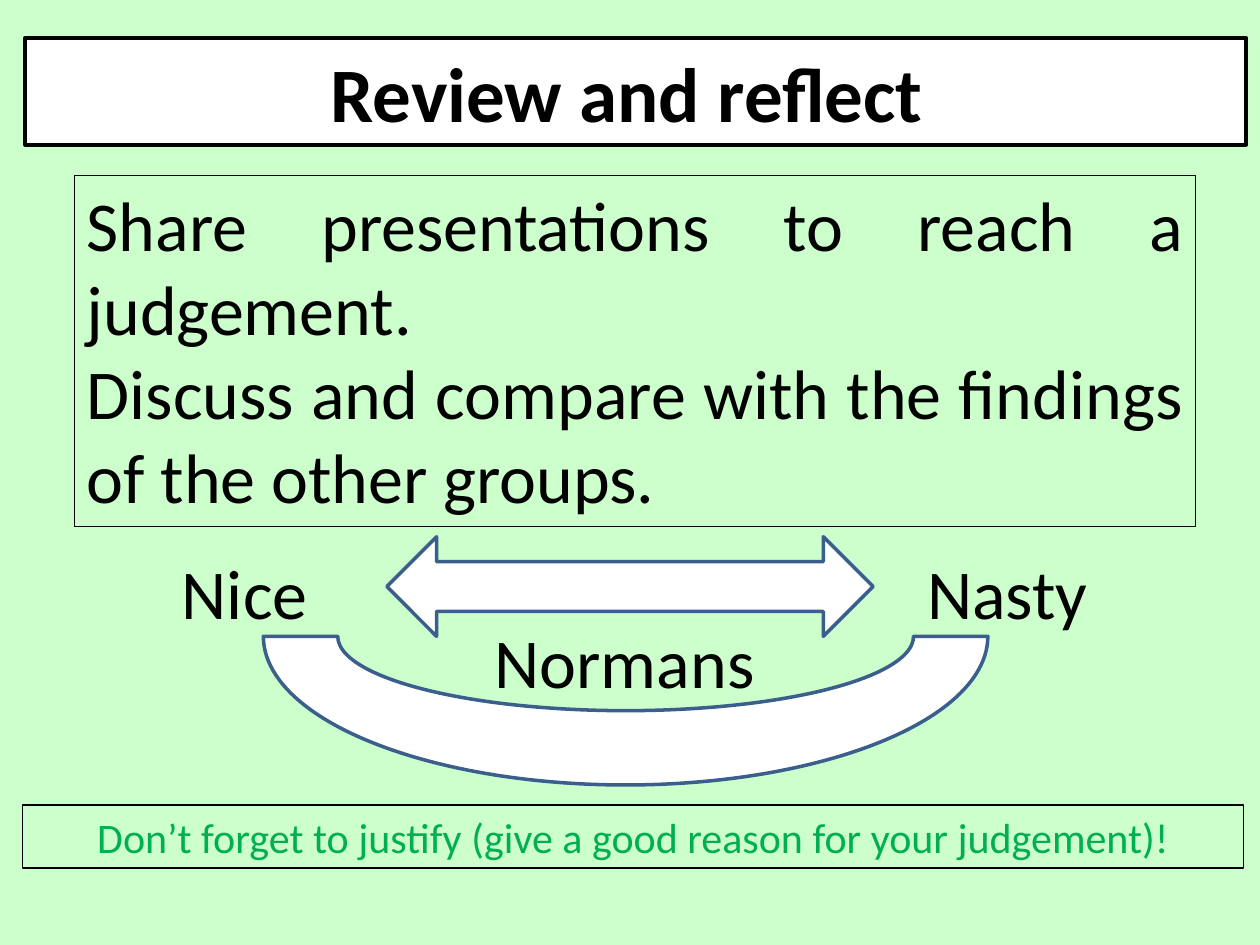
import pptx
import pptx.util
import pptx.dml.color
import pptx.enum.shapes
import pptx.enum.text

Inches, Pt = pptx.util.Inches, pptx.util.Pt
RGBColor = pptx.dml.color.RGBColor
SHAPE = pptx.enum.shapes.MSO_SHAPE
ALIGN = pptx.enum.text.PP_ALIGN
ANCHOR = pptx.enum.text.MSO_ANCHOR

MINT = RGBColor(0xCC, 0xFF, 0xCC)
WHITE = RGBColor(0xFF, 0xFF, 0xFF)
BLACK = RGBColor(0x00, 0x00, 0x00)
BLUE = RGBColor(0x3A, 0x5F, 0x8C)
GREEN = RGBColor(0x00, 0xB0, 0x50)


def add_text(sp, *lines, size=40, color=BLACK, bold=False,
             align=ALIGN.CENTER, anchor=ANCHOR.TOP):
    """Write one paragraph per line into a shape."""
    tf = sp.text_frame
    tf.word_wrap = True
    tf.vertical_anchor = anchor
    for i, line in enumerate(lines):
        p = tf.add_paragraph() if i else tf.paragraphs[0]
        p.alignment = align
        r = p.add_run()
        r.text = line
        r.font.name = "Calibri"
        r.font.size = Pt(size)
        r.font.bold = bold
        r.font.color.rgb = color


def add_outlined(s, kind, box, fill=None, line=BLACK, width=0.75):
    sp = s.shapes.add_shape(kind, *map(Inches, box))
    sp.shadow.inherit = False
    if fill is None:
        sp.fill.background()
    else:
        sp.fill.solid()
        sp.fill.fore_color.rgb = fill
    sp.line.color.rgb = line
    sp.line.width = Pt(width)
    return sp


def add_title(s, box):
    sp = add_outlined(s, SHAPE.RECTANGLE, box, fill=WHITE, width=2)
    add_text(sp, "Review and reflect ", size=44, bold=True, anchor=ANCHOR.MIDDLE)


def add_task(s, box):
    add_text(add_outlined(s, SHAPE.RECTANGLE, box),
             "Share presentations to reach a judgement.",
             "Discuss and compare with the findings of the other groups. ",
             align=ALIGN.JUSTIFY)


def add_scale(s, box):
    """Nice-to-nasty scale: arc below, arrow between the two end labels."""
    x, y, w, h = box
    # Arc and arrow
    arc = add_outlined(s, SHAPE.BLOCK_ARC, (x + 0.95, y, 5.75, h), WHITE, BLUE, 2)
    arc.rotation = 180
    add_outlined(s, SHAPE.LEFT_RIGHT_ARROW, (x + 1.93, y + 0.39, 3.86, 0.79),
                 WHITE, BLUE, 2)
    # Labels
    end_w = 1.73
    for label, left, top, width in (
            ("Nice ", x, y + 0.44, end_w),
            ("Nasty", x + w - end_w, y + 0.44, end_w),
            ("Normans ", x + 2.66, y + 0.99, 2.44)):
        tb = s.shapes.add_textbox(*map(Inches, (left, top, width, 0.77)))
        add_text(tb, label)


def add_reminder(s, box):
    add_text(add_outlined(s, SHAPE.RECTANGLE, box),
             "Don’t forget to justify (give a good reason for your judgement)!",
             size=24, color=GREEN)


def main():
    prs = pptx.Presentation()
    prs.slide_width, prs.slide_height = Inches(10), Inches(7.5)
    s = prs.slides.add_slide(prs.slide_layouts[6])
    s.background.fill.solid()
    s.background.fill.fore_color.rgb = MINT

    add_title(s, (0.2, 0.3, 9.69, 0.85))
    add_task(s, (0.59, 1.39, 8.9, 2.79))
    add_scale(s, (1.14, 3.87, 7.72, 2.36))
    add_reminder(s, (0.18, 6.39, 9.69, 0.5))
    prs.save("out.pptx")


if __name__ == "__main__":
    main()
